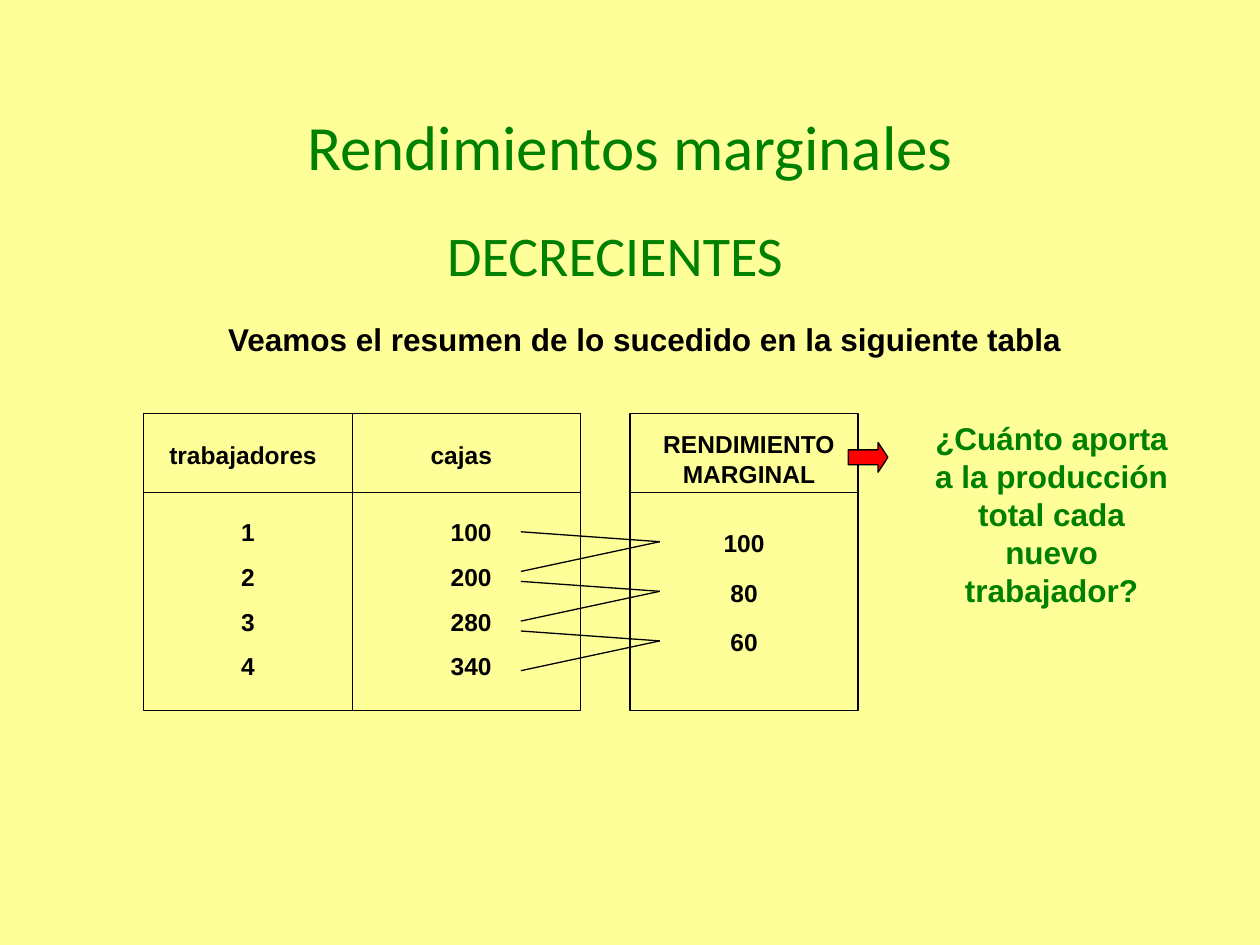
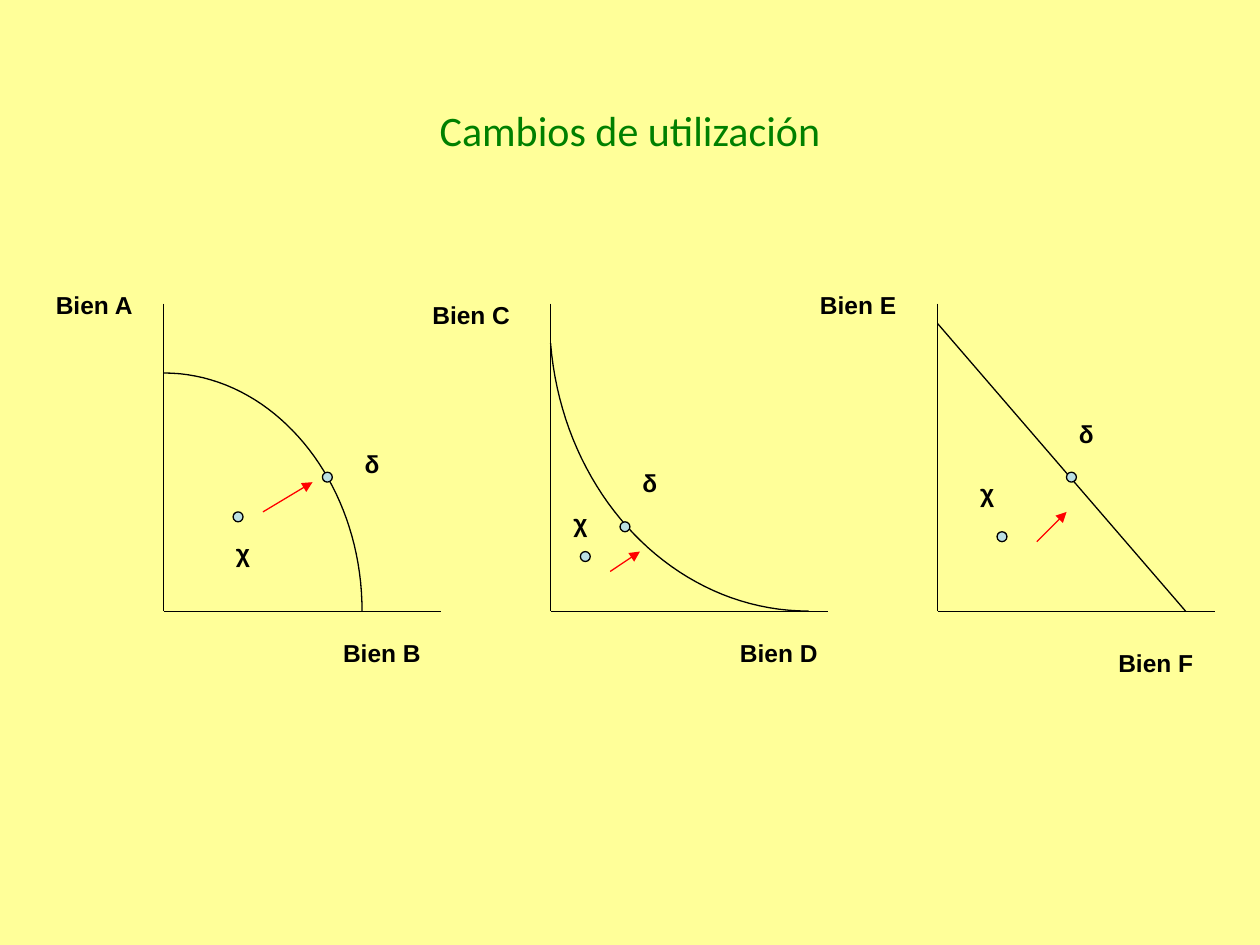
from dataclasses import dataclass

from lxml import etree
from pptx import Presentation
from pptx.dml.color import RGBColor
from pptx.enum.shapes import MSO_CONNECTOR, MSO_SHAPE
from pptx.enum.text import MSO_ANCHOR, MSO_AUTO_SIZE, PP_ALIGN
from pptx.oxml.ns import qn
from pptx.util import Cm, Pt

STRAIGHT = MSO_CONNECTOR.STRAIGHT
RECTANGLE = MSO_SHAPE.RECTANGLE
ELLIPSE = MSO_SHAPE.OVAL
RIGHT_ARROW = MSO_SHAPE.RIGHT_ARROW
MIDDLE = MSO_ANCHOR.MIDDLE
FIXED_SIZE = MSO_AUTO_SIZE.NONE
GROW = MSO_AUTO_SIZE.SHAPE_TO_FIT_TEXT
CENTER = PP_ALIGN.CENTER

COLORS = {
    "background": "FFFF99",
    "green": "008000",
    "black": "000000",
    "red": "FF0000",
    "point": "BBE0E3",
}
HEADING_FONT = "Calibri"
TEXT_FONT = "Arial"
LINE_WIDTH = Pt(0.75)
TITLE_ONLY = 5
LABEL_HEIGHT = 0.86


def color(name):
    return RGBColor.from_string(COLORS[name])


def bezier(start, control_1, control_2, end, steps=40):
    points = []
    for step in range(steps + 1):
        t = step / steps
        weights = ((1 - t) ** 3, 3 * t * (1 - t) ** 2, 3 * t**2 * (1 - t), t**3)
        corners = (start, control_1, control_2, end)
        points.append(tuple(
            sum(weight * corner[axis] for weight, corner in zip(weights, corners))
            for axis in (0, 1)
        ))
    return points


class SlideWriter:
    def __init__(self):
        self.deck = Presentation()
        self.deck.slide_width = Cm(25.4)
        self.deck.slide_height = Cm(19.05)
        fill = self.deck.slide_master.background.fill
        fill.solid()
        fill.fore_color.rgb = color("background")
        self.page = None

    def new_page(self, title, top, height, size):
        self.page = self.deck.slides.add_slide(self.deck.slide_layouts[TITLE_ONLY])
        box = self.page.shapes.title
        box.left, box.top, box.width, box.height = Cm(1.9), Cm(top), Cm(21.6), Cm(height)
        frame = box.text_frame
        frame.auto_size = FIXED_SIZE
        frame.vertical_anchor = MIDDLE
        frame.text = title
        self.format_paragraph(frame.paragraphs[0], size, "green", HEADING_FONT, False)

    def format_paragraph(self, para, size, ink, font, bold):
        para.alignment = CENTER
        para.font.size = Pt(size)
        para.font.name = font
        para.font.bold = bold
        para.font.color.rgb = color(ink)

    def text(self, text, left, top, width, height=LABEL_HEIGHT, size=14,
             ink="black", font=TEXT_FONT, bold=True):
        box = self.page.shapes.add_textbox(Cm(left), Cm(top), Cm(width), Cm(height))
        frame = box.text_frame
        frame.word_wrap = True
        frame.auto_size = GROW
        frame.text = text
        for para in frame.paragraphs:
            self.format_paragraph(para, size, ink, font, bold)
            para.space_before = Pt(round(size * 0.625, 1))

    def outline(self, shape, fill=None):
        shape.shadow.inherit = False
        if fill:
            shape.fill.solid()
            shape.fill.fore_color.rgb = color(fill)
        else:
            shape.fill.background()
        shape.line.color.rgb = color("black")
        shape.line.width = LINE_WIDTH

    def shape(self, kind, left, top, width, height, fill=None):
        shape = self.page.shapes.add_shape(kind, Cm(left), Cm(top), Cm(width), Cm(height))
        self.outline(shape, fill)
        return shape

    def line(self, start, end, ink="black", arrow=False):
        connector = self.page.shapes.add_connector(
            STRAIGHT, *(Cm(value) for value in (*start, *end)))
        connector.line.color.rgb = color(ink)
        connector.line.width = LINE_WIDTH
        if arrow:
            etree.SubElement(connector.line._get_or_add_ln(), qn("a:tailEnd"), type="triangle")
        etree.SubElement(connector._element.spPr, qn("a:effectLst"))

    def curve(self, points):
        corners = [(Cm(x), Cm(y)) for x, y in points]
        builder = self.page.shapes.build_freeform(*corners[0])
        builder.add_line_segments(corners[1:], close=False)
        self.outline(builder.convert_to_shape())


@dataclass
class Graph:
    vertical: tuple
    horizontal: tuple
    chi_point: tuple
    chi_label: tuple
    delta_point: tuple
    delta_label: tuple
    arrow: tuple


def marginal_returns(writer):
    writer.new_page("Rendimientos marginales", 1.32, 3.2, 36)
    writer.text("DECRECIENTES", 6.3, 4.32, 12.2, 1.63, 32, "green", HEADING_FONT, False)
    writer.text("Veamos el resumen de lo sucedido en la siguiente tabla",
                4.3, 6.32, 17.4, 1.02, 18)

    top, height, header_bottom = 8.33, 6, 9.93
    for left, width in ((2.9, 8.8), (12.7, 4.6)):
        writer.shape(RECTANGLE, left, top, width, height)
        writer.line((left, header_bottom), (left + width, header_bottom))
    writer.line((7.11, top), (7.11, top + height))

    writer.text("trabajadores", 3.1, 8.74, 3.6)
    writer.text("cajas", 7.5, 8.74, 3.6)
    writer.text("1\n2\n3\n4", 3.5, 10.3, 3, 3.56)
    writer.text("100\n200\n280\n340", 7.5, 10.3, 4, 3.56)
    writer.text("RENDIMIENTO MARGINAL", 12.7, 8.53, 4.8, 1.45)
    writer.text("¿Cuánto aporta a la producción total cada nuevo trabajador?",
                18.5, top, 5.4, 4.06, 18, "green")
    arrow = writer.shape(RIGHT_ARROW, 17.1, 8.92, 0.8, 0.6, "red")
    arrow.adjustments[1] = 0.33

    for row, marginal in enumerate(("100", "80", "60")):
        tip = (13.3, 10.92 + row)
        for offset in (-0.2, 0.6):
            writer.line((10.5, tip[1] + offset), tip)
        writer.text(marginal, 14.1, 10.52 + row, 1.8)


def utilization_changes(writer):
    writer.new_page("Cambios de utilización", 1.72, 1.8, 24)
    graphs = (
        Graph(("Bien A", 0.7, 5.72), ("Bien B", 6.5, 12.73),
              (4.7, 10.32), (4.3, 10.72), (6.5, 9.52), (6.9, 8.92),
              ((5.3, 10.32), (6.3, 9.72))),
        Graph(("Bien C", 8.3, 5.92), ("Bien D", 14.5, 12.73),
              (11.7, 11.12), (11.1, 10.12), (12.5, 10.52), (12.5, 9.32),
              ((12.3, 11.52), (12.9, 11.12))),
        Graph(("Bien E", 16.1, 5.72), ("Bien F", 22.1, 12.93),
              (20.1, 10.72), (19.3, 9.52), (21.5, 9.52), (21.3, 8.32),
              ((20.9, 10.92), (21.5, 10.32))),
    )
    axis_top, axis_bottom = 6.12, 12.32

    writer.curve(bezier((3.3, 7.52), (5.5, 7.52), (7.3, 9.68), (7.3, axis_bottom)))
    writer.curve(bezier((16.3, axis_bottom), (13.6, axis_bottom), (11.35, 9.98), (11.1, 6.92)))
    writer.line((18.9, 6.52), (23.9, axis_bottom))

    for index, graph in enumerate(graphs):
        left = 3.3 + 7.8 * index
        origin = (left, axis_bottom)
        writer.line((left, axis_top), origin)
        writer.line(origin, (left + 5.6, axis_bottom))
        for name, x, y in (graph.vertical, graph.horizontal):
            writer.text(name, x, y, 2.4)
        for point in (graph.chi_point, graph.delta_point):
            writer.shape(ELLIPSE, *point, 0.2, 0.2, "point")
        writer.line(*graph.arrow, "red", arrow=True)
        writer.text("χ", *graph.chi_label, 1.2)
        writer.text("δ", *graph.delta_label, 1.2)


def main():
    writer = SlideWriter()
    marginal_returns(writer)
    utilization_changes(writer)
    writer.deck.save("out.pptx")


if __name__ == "__main__":
    main()
